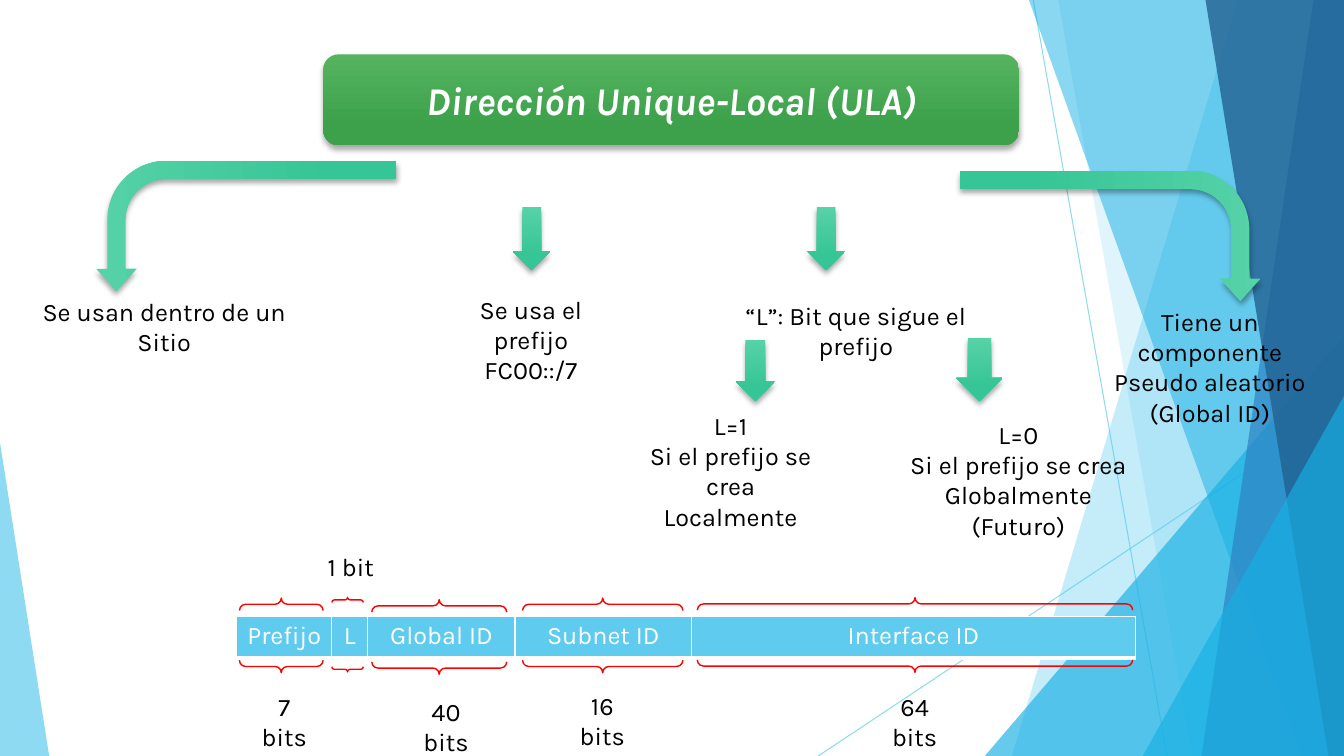
from lxml.etree import SubElement
from pptx import Presentation
from pptx.dml.color import RGBColor
from pptx.enum.shapes import MSO_CONNECTOR, MSO_SHAPE as Preset
from pptx.enum.text import MSO_ANCHOR, MSO_AUTO_SIZE, PP_ALIGN
from pptx.oxml.ns import qn
from pptx.util import Cm, Pt

FONT = "Karla"
WHITE = RGBColor(0xFF, 0xFF, 0xFF)
BLACK = RGBColor(0x00, 0x00, 0x00)
RED = RGBColor(0xFF, 0x00, 0x00)
SKY = RGBColor(0x5F, 0xCB, 0xEF)
CYAN = RGBColor(0x17, 0xB0, 0xE4)
BLUE = RGBColor(0x2E, 0x83, 0xC3)
NAVY = RGBColor(0x22, 0x62, 0x92)
GREEN = (RGBColor(0x56, 0xB4, 0x61), RGBColor(0x3C, 0xA1, 0x4A))
MINT = (RGBColor(0x56, 0xD2, 0xA7), RGBColor(0x36, 0xC5, 0x96))
WIDTH, HEIGHT = 33.87, 19.05


def set_alpha(element, percent):
    color = next(element.iter(qn("a:srgbClr")))
    SubElement(color, qn("a:alpha"), val=str(percent * 1000))


def tint(shape, color, percent):
    shape.shadow.inherit = False
    shape.fill.solid()
    shape.fill.fore_color.rgb = color
    set_alpha(shape._element.spPr, percent)
    shape.line.fill.background()


def add_band(slide, top_x, bottom_x, color, percent):
    """Strip between a slanted edge and the right side of the slide."""
    builder = slide.shapes.build_freeform(Cm(top_x), 0, scale=1.0)
    corners = [(WIDTH, 0), (WIDTH, HEIGHT), (bottom_x, HEIGHT)]
    builder.add_line_segments([(Cm(x), Cm(y)) for x, y in corners], close=True)
    tint(builder.convert_to_shape(), color, percent)


def add_corner(slide, left, top, width, apex, color, percent):
    """Triangle standing on the bottom edge of the slide."""
    corner = slide.shapes.add_shape(Preset.ISOSCELES_TRIANGLE, Cm(left), Cm(top),
                                    Cm(width), Cm(HEIGHT - top))
    corner.adjustments[0] = apex
    tint(corner, color, percent)


def add_ray(slide, x1, y1, x2, y2):
    ray = slide.shapes.add_connector(MSO_CONNECTOR.STRAIGHT,
                                     Cm(x1), Cm(y1), Cm(x2), Cm(y2))
    ray.line.color.rgb = SKY
    ray.line.width = Pt(0.75)
    set_alpha(ray._element.spPr, 70)
    SubElement(ray._element.spPr, qn("a:effectLst"))


def add_glossy(slide, preset, left, top, width, height, colors):
    """Shape with a vertical gradient and a soft shadow below."""
    shape = slide.shapes.add_shape(preset, Cm(left), Cm(top), Cm(width), Cm(height))
    shape.fill.gradient()
    shape.fill.gradient_angle = 270
    for stop, position, color in zip(shape.fill.gradient_stops, (0, 0.78), colors):
        stop.position = position
        stop.color.rgb = color
    shape.line.fill.background()
    shape.shadow.inherit = False
    effects = shape._element.spPr.find(qn("a:effectLst"))
    shadow = SubElement(effects, qn("a:outerShdw"), blurRad=str(Pt(4)),
                        dist=str(Pt(3)), dir="5400000", rotWithShape="0")
    SubElement(shadow, qn("a:srgbClr"), val="000000")
    set_alpha(shadow, 35)
    return shape


def add_bent_arrow(slide, left, top, rotation, flipped=False):
    arrow = add_glossy(slide, Preset.BENT_ARROW, left, top, 3.28, 7.57, MINT)
    for index, value in enumerate((0.139, 0.155, 0.171, 0.453)):
        arrow.adjustments[index] = value
    arrow.rotation = rotation
    if flipped:
        arrow._element.spPr.find(qn("a:xfrm")).set("flipH", "1")


def write(frame, lines, color, size=18, bold=False, italic=False):
    for index, line in enumerate(lines):
        paragraph = frame.add_paragraph() if index else frame.paragraphs[0]
        paragraph.alignment = PP_ALIGN.CENTER
        run = paragraph.add_run()
        run.text = line
        font = run.font
        font.name, font.size, font.color.rgb = FONT, Pt(size), color
        font.bold, font.italic = bold, italic


def add_note(slide, left, top, width, *lines, wrap=True):
    note = slide.shapes.add_textbox(Cm(left), Cm(top), Cm(width), Cm(1.02))
    frame = note.text_frame
    frame.word_wrap = wrap
    frame.auto_size = MSO_AUTO_SIZE.SHAPE_TO_FIT_TEXT
    write(frame, lines, BLACK)


def add_brace(slide, center_x, center_y, length):
    depth = 1.88
    brace = slide.shapes.add_shape(
        Preset.DOUBLE_BRACE, Cm(center_x - depth / 2), Cm(center_y - length / 2),
        Cm(depth), Cm(length))
    brace.rotation = 270
    brace.shadow.inherit = False
    brace.fill.background()
    brace.line.color.rgb = RED
    brace.line.width = Pt(1)


def add_address_table(slide, left, top, height, fields):
    total = sum(width for _, width in fields)
    frame = slide.shapes.add_table(1, len(fields), Cm(left), Cm(top),
                                   Cm(total), Cm(height))
    table = frame.table
    table.first_row = table.horz_banding = False
    for index, (name, width) in enumerate(fields):
        table.columns[index].width = Cm(width)
        cell = table.cell(0, index)
        write(cell.text_frame, [name], WHITE)
        properties = cell._tc.get_or_add_tcPr()
        for side, points in (("L", 1), ("R", 1), ("T", 1), ("B", 3)):
            border = SubElement(properties, qn("a:ln" + side), w=str(Pt(points)))
            border_fill = SubElement(border, qn("a:solidFill"))
            SubElement(border_fill, qn("a:srgbClr"), val=str(WHITE))
        cell.fill.solid()
        cell.fill.fore_color.rgb = SKY


def add_backdrop(slide):
    add_ray(slide, 26.04, 0, 29.41, HEIGHT)
    add_ray(slide, WIDTH, 10.24, 20.62, HEIGHT)
    add_band(slide, 31.19, 25.5, SKY, 36)
    add_band(slide, 26.67, 30.05, SKY, 20)
    add_corner(slide, 24.82, 8.46, 9.05, 1, CYAN, 66)
    add_band(slide, 25.93, 32.79, CYAN, 50)
    add_band(slide, 33.1, 30.28, BLUE, 70)
    add_band(slide, 30.38, 33.48, NAVY, 80)
    add_corner(slide, 28.8, 9.98, 5.07, 1, CYAN, 66)
    add_corner(slide, 0, 11.15, 1.24, 0, SKY, 70)


def main():
    prs = Presentation()
    prs.slide_width, prs.slide_height = Cm(WIDTH), Cm(HEIGHT)
    slide = prs.slides.add_slide(prs.slide_layouts[6])
    add_backdrop(slide)

    # Title
    title = add_glossy(slide, Preset.ROUNDED_RECTANGLE, 8.15, 1.37, 17.53, 2.29, GREEN)
    title.text_frame.vertical_anchor = MSO_ANCHOR.MIDDLE
    write(title.text_frame, ["Dirección Unique-Local (ULA)"], WHITE, 28, True, True)

    # Arrows to each feature
    add_bent_arrow(slide, 26.34, 2.16, 90)
    add_bent_arrow(slide, 4.57, 1.91, 270, flipped=True)
    for box in ((12.93, 5.21, 0.94, 1.6), (20.35, 5.21, 0.94, 1.6),
                (18.54, 8.56, 0.99, 1.55), (24.1, 8.51, 1.17, 1.6)):
        add_glossy(slide, Preset.DOWN_ARROW, *box, MINT)

    # Features
    add_note(slide, 0.48, 7.34, 7.32, "Se usan dentro de un Sitio")
    add_note(slide, 11.07, 7.29, 4.62, "Se usa el prefijo", "FC00::/7")
    add_note(slide, 17.86, 7.44, 7.42, "“L”: Bit que sigue el prefijo")
    add_note(slide, 27.38, 7.59, 6.22,
             "Tiene un componente", "Pseudo aleatorio", "(Global ID)")
    add_note(slide, 15.72, 10.21, 5.38, "L=1", "Si el prefijo se crea", "Localmente")
    add_note(slide, 22.58, 10.44, 6.17,
             "L=0", "Si el prefijo se crea", "Globalmente (Futuro)")

    # Address fields with their sizes
    add_address_table(slide, 5.97, 15.54, 1.04, [
        ("Prefijo", 2.39), ("L", 0.91), ("Global ID", 3.71),
        ("Subnet ID", 4.45), ("Interface ID", 11.18)])
    for brace in ((7.09, 16.01, 2.11), (8.76, 15.99, 0.79), (11.07, 16.05, 3.4),
                  (15.19, 16.01, 4.04), (23.06, 16, 10.97)):
        add_brace(slide, *brace)
    add_note(slide, 6.2, 17.3, 1.93, "7 bits")
    add_note(slide, 8, 13.77, 1.68, "1 bit", wrap=False)
    add_note(slide, 10.11, 17.42, 2.26, "40 bits")
    add_note(slide, 14.05, 17.27, 2.26, "16 bits")
    add_note(slide, 21.92, 17.3, 2.26, "64 bits")

    prs.save("out.pptx")


if __name__ == "__main__":
    main()
